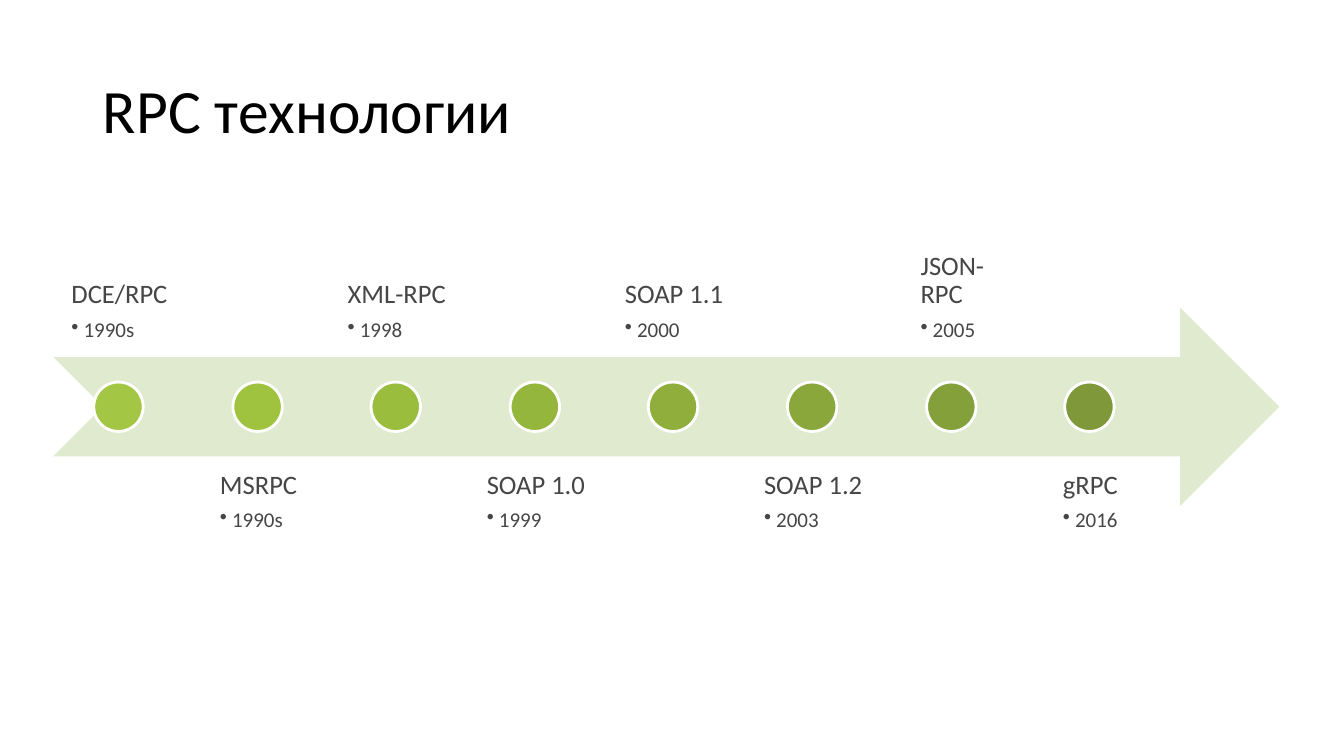
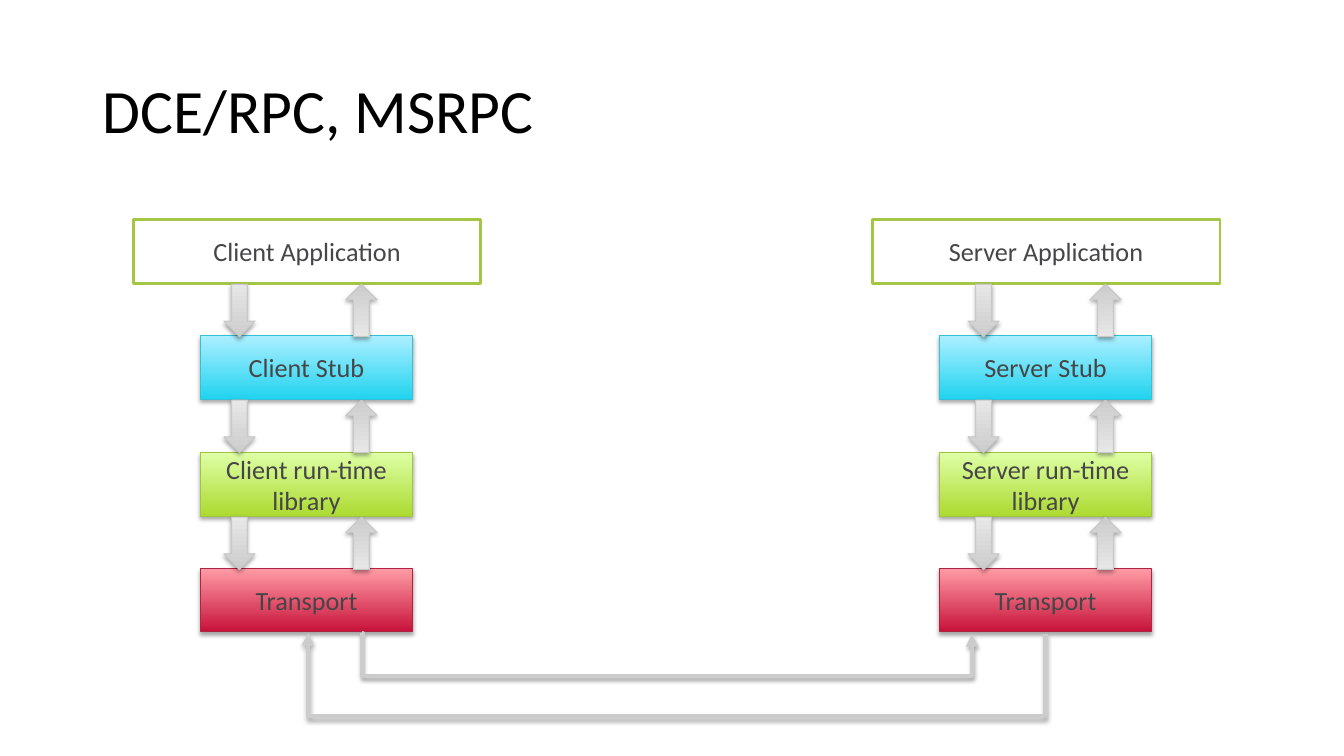
from lxml import etree
from pptx import Presentation
from pptx.dml.color import RGBColor
from pptx.enum.shapes import MSO_CONNECTOR, MSO_SHAPE
from pptx.enum.text import MSO_ANCHOR, PP_ALIGN
from pptx.oxml.ns import qn
from pptx.util import Emu, Pt

RECTANGLE = MSO_SHAPE.RECTANGLE
OVAL = MSO_SHAPE.OVAL
DOWN_ARROW = MSO_SHAPE.DOWN_ARROW
NOTCHED_ARROW = MSO_SHAPE.NOTCHED_RIGHT_ARROW
ELBOW = MSO_CONNECTOR.ELBOW
TOP, MIDDLE, BOTTOM = MSO_ANCHOR.TOP, MSO_ANCHOR.MIDDLE, MSO_ANCHOR.BOTTOM
LEFT, CENTER = PP_ALIGN.LEFT, PP_ALIGN.CENTER

FONT = "Calibri"
BLACK = RGBColor(0x00, 0x00, 0x00)
WHITE = RGBColor(0xFF, 0xFF, 0xFF)
TEXT = RGBColor(0x46, 0x45, 0x47)
GREEN = RGBColor(0xA3, 0xC6, 0x44)
PALE_GREEN = RGBColor(0xE0, 0xEA, 0xCF)
CONNECTOR_GRAY = RGBColor(0xCC, 0xCC, 0xCC)
DOT_COLORS = [RGBColor.from_string(code) for code in (
    "A3C644", "9FC33F", "9ABD3D", "95B63D", "8FAE3C", "8AA73C", "84A03B", "7F993A")]

CYAN_STYLE = (RGBColor(0x21, 0xD3, 0xEF), RGBColor(0xAC, 0xEF, 0xFF), RGBColor(0x34, 0xC1, 0xD6))
LIME_STYLE = (RGBColor(0xAC, 0xDA, 0x31), RGBColor(0xDE, 0xFF, 0xA6), RGBColor(0xA1, 0xC5, 0x3F))
RED_STYLE = (RGBColor(0xC7, 0x12, 0x3A), RGBColor(0xFF, 0x9C, 0xA5), RGBColor(0xB1, 0x23, 0x43))
GRAY_STYLE = (CONNECTOR_GRAY, RGBColor(0xE7, 0xE7, 0xE7), RGBColor(0xC8, 0xC8, 0xC8))

TIMELINE_TITLE = "RPC технологии"
MILESTONES = [
    ("DCE/RPC", "1990s"),
    ("MSRPC", "1990s"),
    ("XML-RPC", "1998"),
    ("SOAP 1.0", "1999"),
    ("SOAP 1.1", "2000"),
    ("SOAP 1.2", "2003"),
    ("JSON-RPC", "2005"),
    ("gRPC", "2016"),
]

STACK_TITLE = "DCE/RPC, MSRPC"
STACKS = [
    {"left": 132, "arrows": (222, 343),
     "layers": ["Client Application", "Client Stub", "Client run-time library", "Transport"]},
    {"left": 865, "arrows": (960, 1081),
     "layers": ["Server Application", "Server Stub", "Server run-time library", "Transport"]},
]
LAYER_STYLES = [None, CYAN_STYLE, LIME_STYLE, RED_STYLE]
LINKS = [
    {"start": 359, "end": 964, "drop": 43, "bend": 100, "arrow": "tailEnd"},
    {"start": 306, "end": 1037, "drop": 84, "bend": -100, "arrow": "headEnd"},
]

SLIDE_WIDTH, SLIDE_HEIGHT = 1333, 750
EMU_PER_PX = 9144
TITLE_BOX = (92, 40, 1150, 145)
BAND_BOX = (53, 305, 1216, 197)
MILESTONE_LEFT, MILESTONE_PITCH = 53, 137.6
LABEL_WIDTH, LABEL_HEIGHT, LABEL_INSET = 131, 197, 15
LABEL_TOPS = (157, 453)
DOT_OFFSET, DOT_TOP, DOT_SIZE = 40, 379, 49
BULLET_INDENT = 12
LAYER_TOP, LAYER_PITCH, LAYER_HEIGHT = 218, 115.4, 63
APPLICATION_WIDTH, LAYER_WIDTH, LAYER_INDENT = 345, 210, 67
ARROW_WIDTH, ARROW_HEIGHT = 31, 52
LINK_TOP = 628


def px(value):
    return Emu(round(value * EMU_PER_PX))


def box(*values):
    return [px(value) for value in values]


def style_text(paragraph, size, color):
    paragraph.font.name = FONT
    paragraph.font.size = Pt(size)
    paragraph.font.color.rgb = color


def add_titled_slide(presentation, text):
    slide = presentation.slides.add_slide(presentation.slide_layouts[5])
    title = slide.shapes.title
    title.left, title.top, title.width, title.height = box(*TITLE_BOX)
    title.text_frame.text = text
    title.text_frame.vertical_anchor = MIDDLE
    paragraph = title.text_frame.paragraphs[0]
    paragraph.alignment = LEFT
    paragraph.line_spacing = 0.9
    style_text(paragraph, 44, BLACK)
    return slide


def add_plain_shape(slide, preset, bounds, fill, line=None):
    shape = slide.shapes.add_shape(preset, *box(*bounds))
    shape.shadow.inherit = False
    shape.fill.solid()
    shape.fill.fore_color.rgb = fill
    if line is None:
        shape.line.fill.background()
    else:
        shape.line.color.rgb = line
        shape.line.width = Pt(2)
    return shape


def add_shadow(shape):
    properties = shape._element.spPr
    for old in properties.findall(qn("a:effectLst")):
        properties.remove(old)
    effects = etree.SubElement(properties, qn("a:effectLst"))
    shadow = etree.SubElement(effects, qn("a:outerShdw"), blurRad=str(Pt(3.1)),
                              dist=str(Pt(1.8)), dir="5400000", rotWithShape="0")
    color = etree.SubElement(shadow, qn("a:srgbClr"), val=str(BLACK))
    etree.SubElement(color, qn("a:alpha"), val="35000")


def add_gradient_shape(slide, preset, bounds, style):
    start, end, line = style
    shape = slide.shapes.add_shape(preset, *box(*bounds))
    shape.fill.gradient()
    shape.fill.gradient_angle = 90
    for stop, color in zip(shape.fill.gradient_stops, (start, end)):
        stop.color.rgb = color
    shape.line.color.rgb = line
    shape.line.width = Pt(0.75)
    add_shadow(shape)
    return shape


def add_milestone_label(slide, left, top, anchor, name, year):
    label = slide.shapes.add_textbox(*box(left, top, LABEL_WIDTH, LABEL_HEIGHT))
    frame = label.text_frame
    frame.word_wrap = True
    frame.vertical_anchor = anchor
    frame.margin_left = frame.margin_right = px(LABEL_INSET)
    frame.margin_top = frame.margin_bottom = px(LABEL_INSET)
    frame._txBody.bodyPr.set("anchorCtr", "1")
    frame.text = name
    heading = frame.paragraphs[0]
    heading.space_after = Pt(6.65)
    date = frame.add_paragraph()
    date.text = year
    date.level = 1
    properties = date._p.get_or_add_pPr()
    properties.set("marL", str(px(BULLET_INDENT)))
    properties.set("indent", str(-px(BULLET_INDENT)))
    etree.SubElement(properties, qn("a:buChar"), char="•")
    for paragraph, size in ((heading, 19), (date, 15)):
        paragraph.line_spacing = 0.9
        style_text(paragraph, size, TEXT)


def add_layer(slide, left, index, text):
    top = round(LAYER_TOP + index * LAYER_PITCH)
    style = LAYER_STYLES[index]
    if style is None:
        bounds = (left, top, APPLICATION_WIDTH, LAYER_HEIGHT)
        shape = add_plain_shape(slide, RECTANGLE, bounds, WHITE, GREEN)
    else:
        bounds = (left + LAYER_INDENT, top, LAYER_WIDTH, LAYER_HEIGHT)
        shape = add_gradient_shape(slide, RECTANGLE, bounds, style)
    shape.text_frame.text = text
    shape.text_frame.vertical_anchor = MIDDLE
    paragraph = shape.text_frame.paragraphs[0]
    paragraph.alignment = CENTER
    style_text(paragraph, 18.7, TEXT)


def add_layer_arrows(slide, down_left, up_left):
    for left in (down_left, up_left):
        for index in range(len(LAYER_STYLES) - 1):
            top = round(LAYER_TOP + index * LAYER_PITCH) + LAYER_HEIGHT + 1
            bounds = (left, top, ARROW_WIDTH, ARROW_HEIGHT)
            arrow = add_gradient_shape(slide, DOWN_ARROW, bounds, GRAY_STYLE)
            if left == up_left:
                arrow._element.spPr.find(qn("a:xfrm")).set("flipV", "1")


def add_link(slide, start, end, drop, bend, arrow):
    connector = slide.shapes.add_connector(ELBOW, *box(start, LINK_TOP, end, LINK_TOP + 1))
    connector.line.color.rgb = CONNECTOR_GRAY
    connector.line.width = Pt(3)
    geometry = connector._element.spPr.find(qn("a:prstGeom"))
    geometry.set("prst", "bentConnector5")
    guides = geometry.find(qn("a:avLst"))
    for number, value in enumerate((bend, drop * 100000, 100000), 1):
        etree.SubElement(guides, qn("a:gd"), name=f"adj{number}", fmla=f"val {value}")
    etree.SubElement(connector.line._get_or_add_ln(), qn(f"a:{arrow}"), type="triangle")
    add_shadow(connector)


def build_timeline(presentation):
    slide = add_titled_slide(presentation, TIMELINE_TITLE)
    add_plain_shape(slide, NOTCHED_ARROW, BAND_BOX, PALE_GREEN)
    for index, ((name, year), color) in enumerate(zip(MILESTONES, DOT_COLORS)):
        left = round(MILESTONE_LEFT + index * MILESTONE_PITCH)
        anchor = TOP if index % 2 else BOTTOM
        add_milestone_label(slide, left, LABEL_TOPS[index % 2], anchor, name, year)
        dot = (left + DOT_OFFSET, DOT_TOP, DOT_SIZE, DOT_SIZE)
        add_plain_shape(slide, OVAL, dot, color, WHITE)


def build_stacks(presentation):
    slide = add_titled_slide(presentation, STACK_TITLE)
    for stack in STACKS:
        for index, text in enumerate(stack["layers"]):
            add_layer(slide, stack["left"], index, text)
        add_layer_arrows(slide, *stack["arrows"])
    for link in LINKS:
        add_link(slide, **link)


def main():
    presentation = Presentation()
    presentation.slide_width = px(SLIDE_WIDTH)
    presentation.slide_height = px(SLIDE_HEIGHT)
    build_timeline(presentation)
    build_stacks(presentation)
    presentation.save("out.pptx")


if __name__ == "__main__":
    main()
